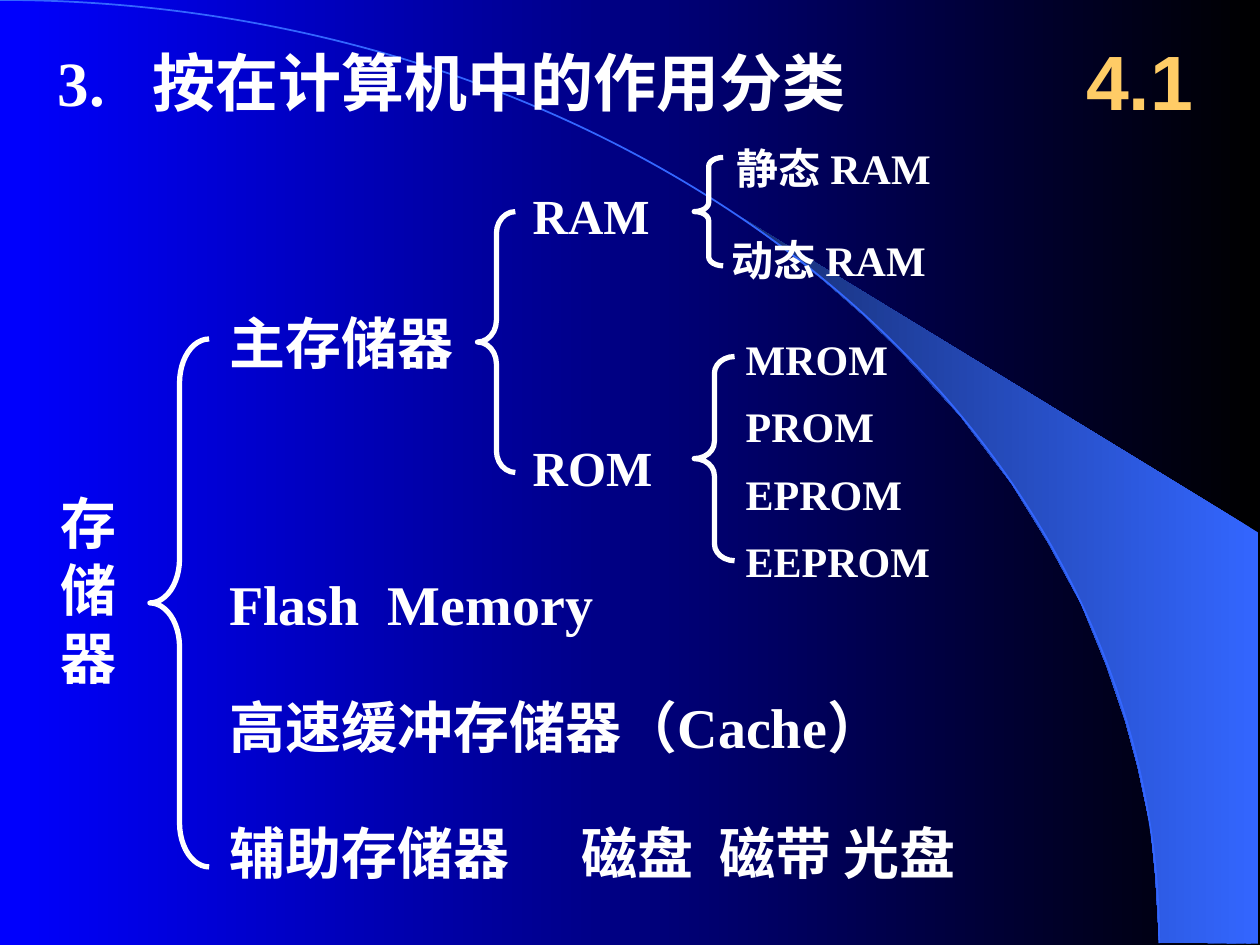
from lxml import etree
from pptx import Presentation
from pptx.dml.color import RGBColor
from pptx.enum.shapes import MSO_SHAPE
from pptx.enum.text import MSO_ANCHOR, PP_ALIGN
from pptx.oxml.ns import qn
from pptx.util import Inches, Pt

LEFT_BRACE, ARC = MSO_SHAPE.LEFT_BRACE, MSO_SHAPE.ARC
MIDDLE, CENTER = MSO_ANCHOR.MIDDLE, PP_ALIGN.CENTER
BLACK = RGBColor(0x00, 0x00, 0x00)
BLUE = RGBColor(0x00, 0x00, 0xFF)
SKY = RGBColor(0x33, 0x66, 0xFF)
NAVY = RGBColor(0x17, 0x2F, 0x75)
WHITE = RGBColor(0xFF, 0xFF, 0xFF)
AMBER = RGBColor(0xFF, 0xCC, 0x66)
TITLE_ONLY = 5


def fill_gradient(fill, start, end):
    fill.gradient()
    fill.gradient_angle = 180
    for stop, color in zip(fill.gradient_stops, (start, end)):
        stop.color.rgb = color


def format_text(frame, size, font, color):
    for para in frame.paragraphs:
        for span in para.runs:
            span.font.size = Pt(size)
            span.font.name = font
            span.font.bold = True
            span.font.color.rgb = color


deck = Presentation()
deck.slide_width, deck.slide_height = Inches(10), Inches(7.5)
page = deck.slides.add_slide(deck.slide_layouts[TITLE_ONLY])
fill_gradient(page.background.fill, BLACK, BLUE)

wedge_points = [
    (9.2, 7.48), (9.99, 7.49), (9.99, 4.23), (5.89, 1.73), (6.24, 1.99),
    (6.53, 2.22), (6.85, 2.5), (7.16, 2.8), (7.62, 3.3), (8.03, 3.84),
    (8.32, 4.31), (8.58, 4.79), (8.78, 5.28), (8.93, 5.72), (9.03, 6.09),
    (9.13, 6.56), (9.17, 6.96),
]
corners = [(Inches(x), Inches(y)) for x, y in wedge_points]
builder = page.shapes.build_freeform(*corners[0])
builder.add_line_segments(corners[1:], close=True)
wedge = builder.convert_to_shape()
wedge.shadow.inherit = False
fill_gradient(wedge.fill, SKY, NAVY)
wedge.line.fill.background()

horizon = page.shapes.add_shape(ARC, Inches(-9.2), Inches(0), Inches(18.4), Inches(14.97))
horizon.shadow.inherit = False
horizon.fill.background()
horizon.line.color.rgb = SKY
horizon.line.width = Pt(1)

braces = [
    (1.19, 2.69, 0.47, 4.19),
    (3.79, 1.68, 0.3, 2.07),
    (5.51, 1.25, 0.23, 0.86),
    (5.51, 2.83, 0.32, 1.62),
]
for left, top, width, height in braces:
    brace = page.shapes.add_shape(
        LEFT_BRACE, Inches(left), Inches(top), Inches(width), Inches(height))
    brace.adjustments[0] = height / 12 / width
    brace.shadow.inherit = False
    brace.fill.background()
    brace.line.color.rgb = WHITE
    brace.line.width = Pt(3)

labels = [
    ("3.\t按在计算机中的作用分类", 0.36, 0.3, 6.6, 0.7, 36, 0.75),
    ("存\n储\n器", 0.38, 3.83, 0.66, 1.7, 32, None),
    ("主存储器", 1.72, 2.4, 2.01, 0.64, 32, None),
    ("Flash\tMemory", 1.72, 4.47, 4.11, 0.64, 32, 1.26),
    ("高速缓冲存储器（Cache）", 1.72, 5.45, 6.19, 0.64, 32, None),
    ("辅助存储器", 1.72, 6.45, 2.6, 0.64, 32, None),
    ("磁盘\t磁带 光盘", 4.52, 6.45, 3.9, 0.64, 32, 1.09),
    ("RAM", 4.13, 1.42, 1.2, 0.57, 28, None),
    ("ROM", 4.13, 3.42, 1.2, 0.57, 28, None),
    ("静态 RAM", 5.75, 1.08, 2.53, 0.5, 24, None),
    ("动态 RAM", 5.71, 1.81, 2.0, 0.5, 24, None),
]
for row, name in enumerate(("MROM", "PROM", "EPROM", "EEPROM")):
    labels.append((name, 5.82, 2.6 + row * 1.6 / 3, 2.1, 0.5, 24, None))

for text, left, top, width, height, size, tab in labels:
    box = page.shapes.add_textbox(Inches(left), Inches(top), Inches(width), Inches(height))
    frame = box.text_frame
    frame.word_wrap = True
    frame.text = text
    if tab:
        properties = frame.paragraphs[0]._p.get_or_add_pPr()
        stops = etree.SubElement(properties, qn("a:tabLst"))
        etree.SubElement(stops, qn("a:tab"), pos=str(Inches(tab)), algn="l")
    format_text(frame, size, "Times New Roman", WHITE)

title = page.shapes.title
title.left, title.top = Inches(8.42), Inches(0.17)
title.width, title.height = Inches(1.25), Inches(0.92)
title.text_frame.text = "4.1"
title.text_frame.vertical_anchor = MIDDLE
title.text_frame.paragraphs[0].alignment = CENTER
format_text(title.text_frame, 44, "Arial", AMBER)

deck.save("out.pptx")
